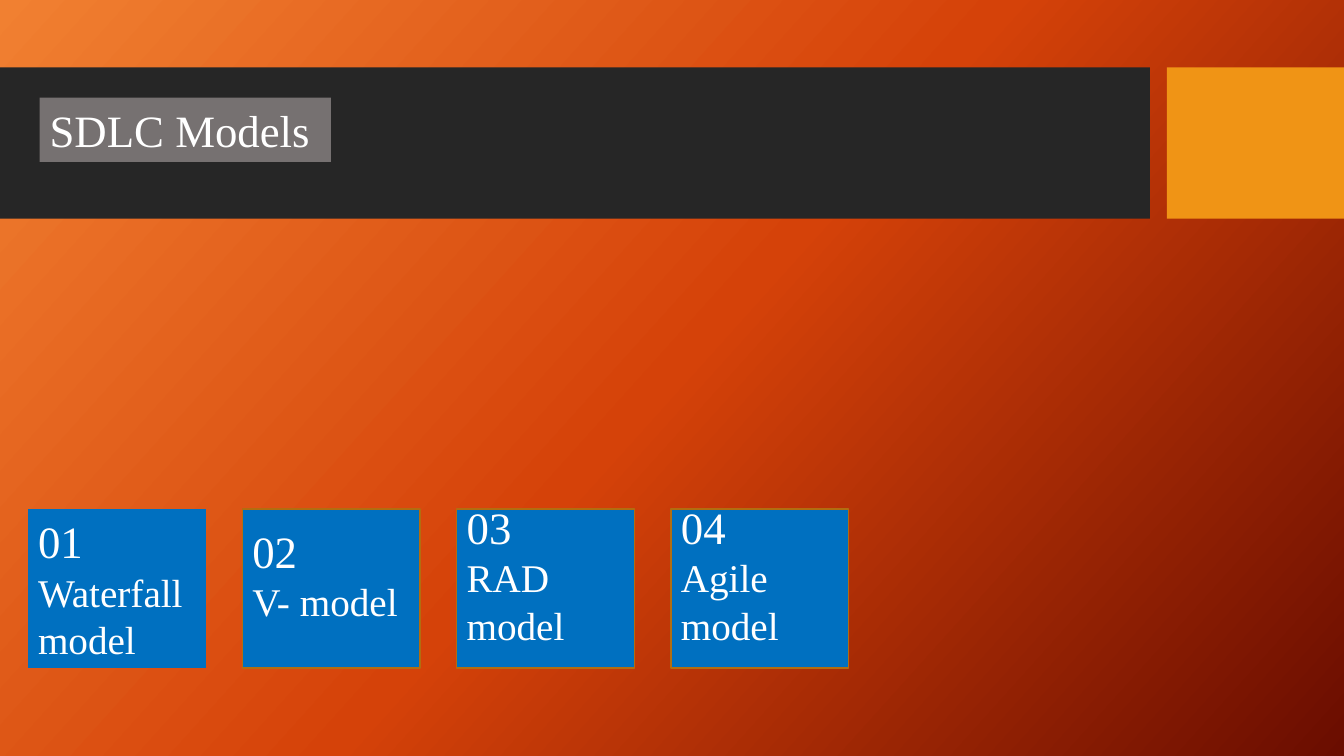
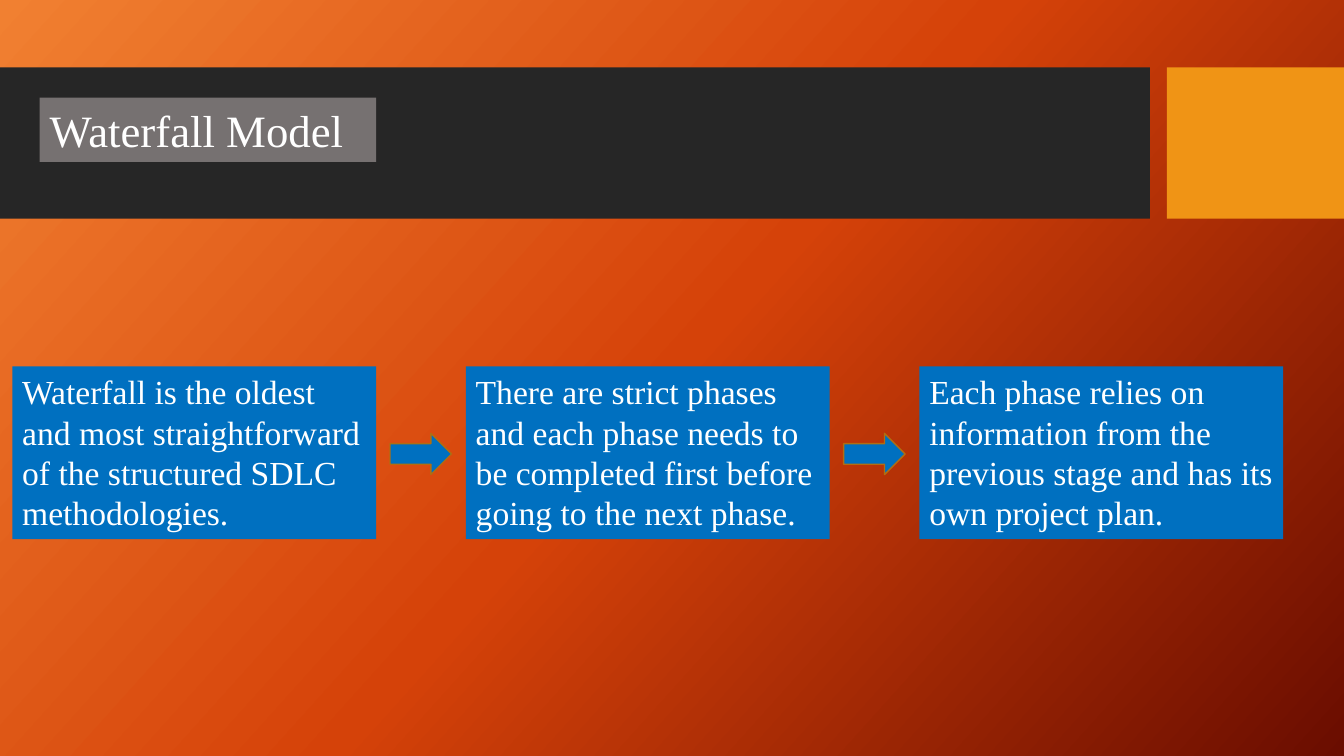
"""Build two slides on software development life cycle models."""
import copy

import pptx
import pptx.dml.color
import pptx.enum.shapes
import pptx.enum.text
import pptx.oxml.ns
import pptx.util

Cm = pptx.util.Cm
Pt = pptx.util.Pt
RGB = pptx.dml.color.RGBColor
SHAPE = pptx.enum.shapes.MSO_SHAPE
ANCHOR = pptx.enum.text.MSO_ANCHOR

WHITE = RGB(0xFF, 0xFF, 0xFF)
DARK = RGB(0x26, 0x26, 0x26)
AMBER = RGB(0xF0, 0x94, 0x15)
GREY = RGB(0x76, 0x71, 0x71)
BLUE = RGB(0x00, 0x70, 0xC0)
BRONZE = RGB(0xB2, 0x6D, 0x10)
GRADIENT = [RGB(0xF1, 0x80, 0x31), RGB(0xD5, 0x42, 0x09), RGB(0x6A, 0x0D, 0x00)]
FONT = "Times New Roman"


class Deck:
    def __init__(self):
        self.prs = pptx.Presentation()
        self.prs.slide_width, self.prs.slide_height = Cm(33.87), Cm(19.05)
        self.s = None
        self.background()

    def background(self):
        master = self.prs.slide_master
        fill = master.background.fill
        fill.gradient()
        fill.gradient_angle = 360 - 42
        stops = master.element.find(".//" + pptx.oxml.ns.qn("a:gsLst"))
        stops.append(copy.deepcopy(stops[-1]))
        for i, (stop, color) in enumerate(zip(fill.gradient_stops, GRADIENT)):
            stop.position = i / 2
            stop.color.rgb = color

    def slide(self, title, width):
        self.s = self.prs.slides.add_slide(self.prs.slide_layouts[6])
        self.shape(0, 1.7, 28.98, 3.81, DARK)
        self.shape(29.41, 1.7, 4.46, 3.81, AMBER)
        self.label(1, 2.46, width, 1.62, [(title, 32)], GREY)

    def shape(self, x, y, w, h, fill, line=None, kind=SHAPE.RECTANGLE):
        sp = self.s.shapes.add_shape(kind, Cm(x), Cm(y), Cm(w), Cm(h))
        sp.shadow.inherit = False
        sp.fill.solid()
        sp.fill.fore_color.rgb = fill
        if line is None:
            sp.line.fill.background()
        else:
            sp.line.color.rgb = line
            sp.line.width = Pt(1)
        return sp

    def text(self, tf, lines):
        tf.word_wrap = True
        for i, (words, size) in enumerate(lines):
            p = tf.add_paragraph() if i else tf.paragraphs[0]
            p.text = words
            p.alignment = pptx.enum.text.PP_ALIGN.LEFT
            p.font.name = FONT
            p.font.size = Pt(size)
            p.font.color.rgb = WHITE

    def label(self, x, y, w, h, lines, fill=BLUE):
        sp = self.s.shapes.add_textbox(Cm(x), Cm(y), Cm(w), Cm(h))
        sp.fill.solid()
        sp.fill.fore_color.rgb = fill
        self.text(sp.text_frame, lines)
        sp.text_frame.auto_size = pptx.enum.text.MSO_AUTO_SIZE.SHAPE_TO_FIT_TEXT

    def card(self, x, y, w, h, lines):
        tf = self.shape(x, y, w, h, BLUE, BRONZE).text_frame
        tf.vertical_anchor = ANCHOR.MIDDLE
        tf.margin_bottom = Cm(0.86)
        self.text(tf, lines)

    def arrow(self, x, y):
        self.shape(x, y, 1.55, 1.04, BLUE, BRONZE, SHAPE.RIGHT_ARROW)


deck = Deck()

deck.slide("SDLC Models", 7.34)
models = ["Waterfall model", "V- model", "RAD model", "Agile model"]
for i, model in enumerate(models):
    add = deck.card if i else deck.label
    add(0.71 + 5.4 * i, 12.83, 4.48, 4, [(f"{i + 1:02}", 32), (model, 28)])

deck.slide("Waterfall Model", 8.48)
phases = [
    "Waterfall is the oldest and most straightforward of the structured SDLC methodologies.",
    "There are strict phases and each phase needs to be completed first before going to the next phase.",
    "Each phase relies on information from the previous stage and has its own project plan.",
]
for i, phase in enumerate(phases):
    x = 0.31 + 11.43 * i
    deck.label(x, 9.23, 9.17, 4.36, [(phase, 24)])
    if i < len(phases) - 1:
        deck.arrow(x + 9.52, 10.92)

deck.prs.save("out.pptx")
